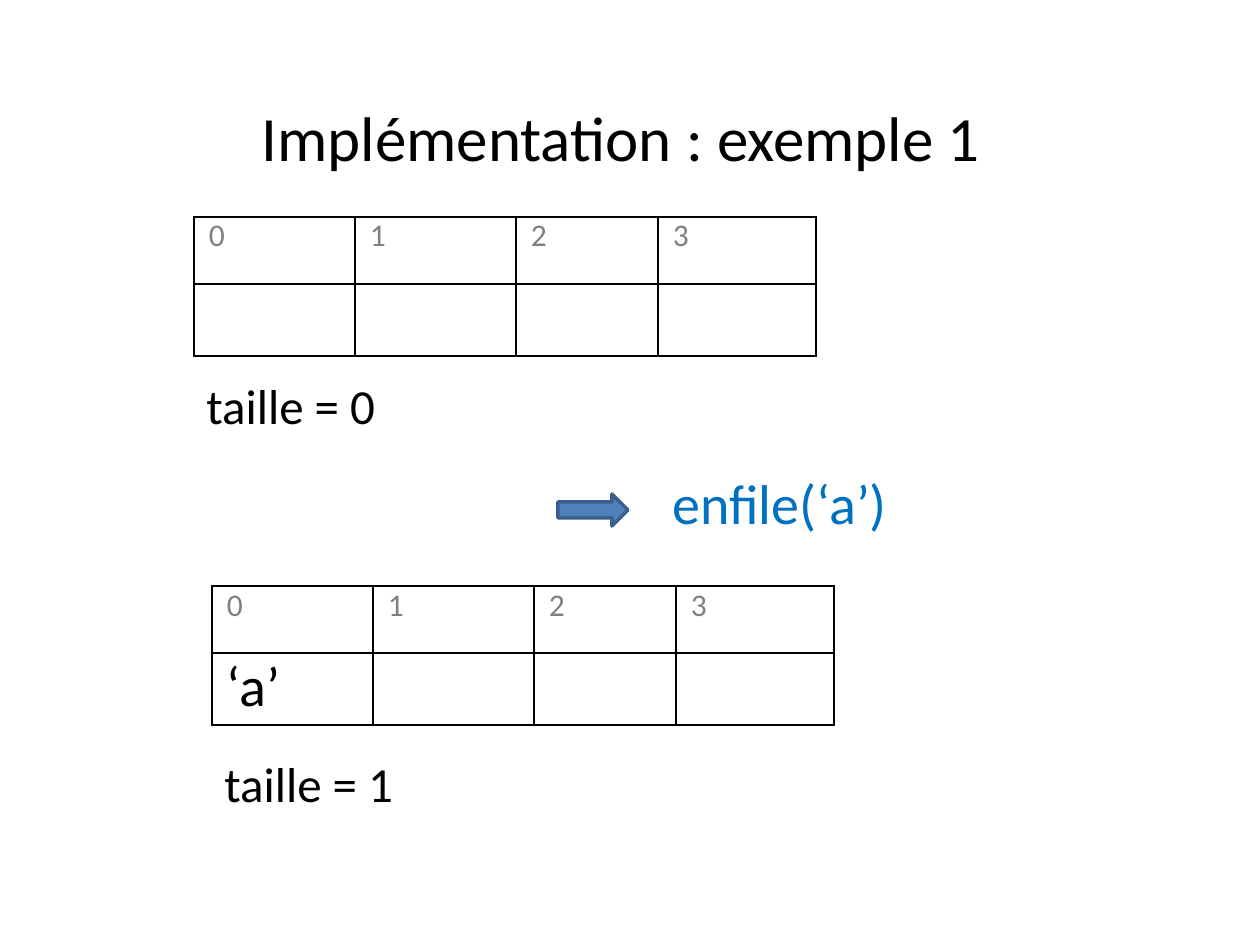
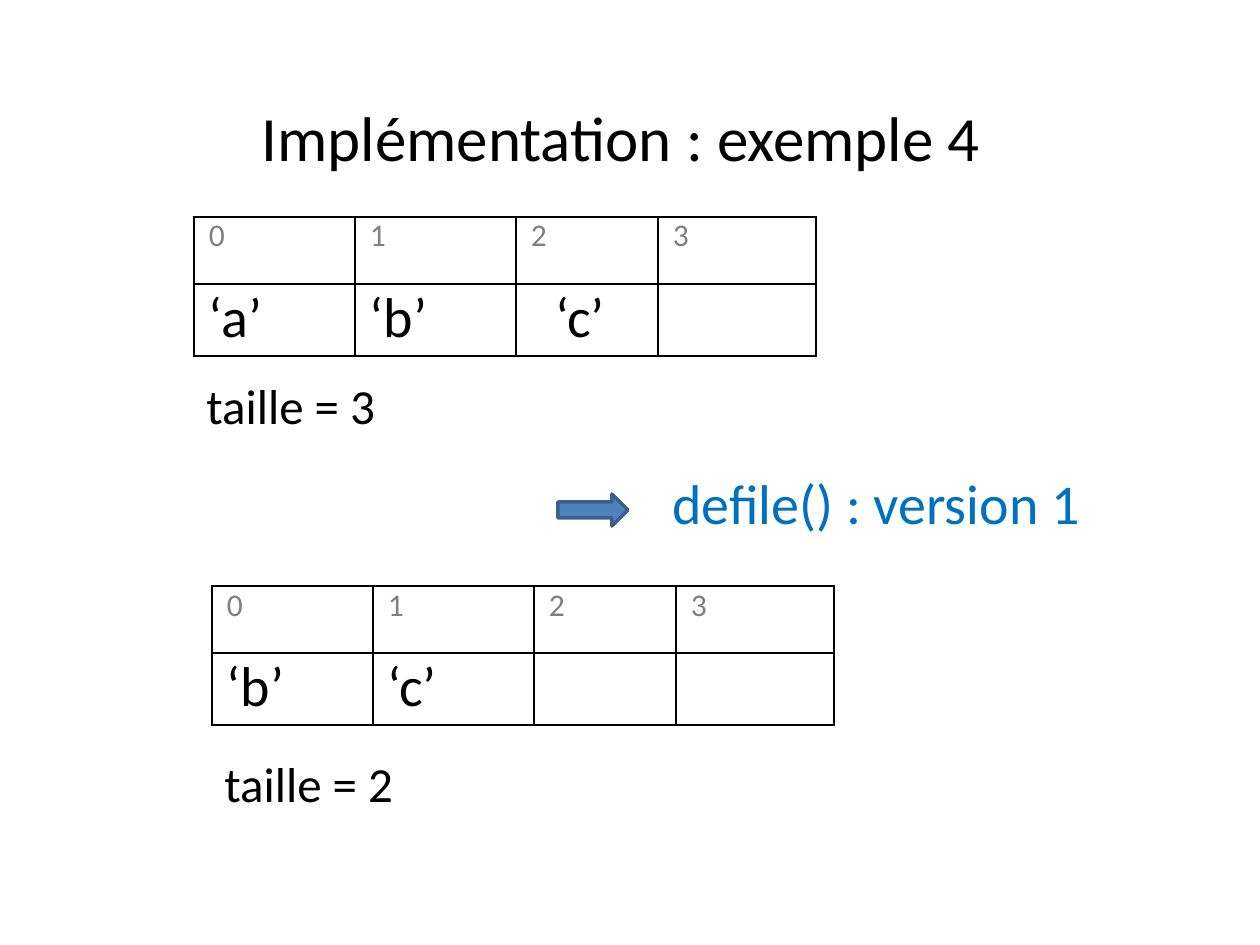
import pptx
import pptx.dml.color
import pptx.enum.shapes
import pptx.enum.text
import pptx.oxml
import pptx.oxml.ns
import pptx.util

PX = 914400 // 126
FONT = "Calibri"
COLOURS = {
    "text": "000000",
    "index": "808080",
    "operation": "0070C0",
    "arrow": "4F81BD",
    "arrow_edge": "3A5F8C",
    "border": "000000",
}
COLUMN_WIDTHS = [161, 161, 142, 158]
ROW_HEIGHTS = [67, 72]
CELL_MARGIN = 15
INDENTED_MARGIN = 40


def px(length):
    return pptx.util.Emu(length * PX)


def rgb(name):
    return pptx.dml.color.RGBColor.from_string(COLOURS[name])


def write(frame, text, size, colour="text", align=pptx.enum.text.PP_ALIGN.LEFT):
    para = frame.paragraphs[0]
    para.alignment = align
    span = para.add_run()
    span.text = text
    span.font.name = FONT
    span.font.size = pptx.util.Pt(size)
    span.font.color.rgb = rgb(colour)


def add_text(page, text, left, top, width, height,
             anchor=pptx.enum.text.MSO_ANCHOR.TOP, **style):
    box = page.shapes.add_textbox(px(left), px(top), px(width), px(height))
    box.text_frame.word_wrap = True
    box.text_frame.vertical_anchor = anchor
    write(box.text_frame, text, **style)


def add_title(page, text):
    add_text(page, text, 54, 57, 1134, 158, size=36,
             anchor=pptx.enum.text.MSO_ANCHOR.MIDDLE,
             align=pptx.enum.text.PP_ALIGN.CENTER)


def outline_cell(cell):
    """Draw a thin line on all four sides of a table cell."""
    properties = cell._tc.get_or_add_tcPr()
    for position, side in enumerate(["lnL", "lnR", "lnT", "lnB"]):
        line = pptx.oxml.parse_xml(
            f'<a:{side} {pptx.oxml.ns.nsdecls("a")} w="12700"><a:solidFill>'
            f'<a:srgbClr val="{COLOURS["border"]}"/></a:solidFill></a:{side}>')
        properties.insert(position, line)


def add_queue(page, left, top, label_top, items, indented=()):
    """Add the indexed array of a queue, with its size written below."""
    table = page.shapes.add_table(
        len(ROW_HEIGHTS), len(COLUMN_WIDTHS), px(left), px(top),
        px(sum(COLUMN_WIDTHS)), px(sum(ROW_HEIGHTS))).table
    table.first_row = False
    table.horz_banding = False
    for row, height in zip(table.rows, ROW_HEIGHTS):
        row.height = px(height)
    for index, width in enumerate(COLUMN_WIDTHS):
        table.columns[index].width = px(width)
        for row in range(len(ROW_HEIGHTS)):
            cell = table.cell(row, index)
            cell.fill.background()
            cell.margin_left = cell.margin_right = px(CELL_MARGIN)
            cell.margin_top = cell.margin_bottom = 0
            outline_cell(cell)
        write(table.cell(0, index).text_frame, str(index), 18, "index")
    for index, item in enumerate(items):
        cell = table.cell(1, index)
        if index in indented:
            cell.margin_left = px(INDENTED_MARGIN)
        write(cell.text_frame, f"‘{item}’", 32)
    add_text(page, f"taille = {len(items)}", left, label_top, 207, 72, size=28)


def add_operation(page, text, width):
    arrow = page.shapes.add_shape(
        pptx.enum.shapes.MSO_SHAPE.RIGHT_ARROW, px(558), px(494), px(70), px(32))
    arrow.shadow.inherit = False
    arrow.fill.solid()
    arrow.fill.fore_color.rgb = rgb("arrow")
    arrow.line.color.rgb = rgb("arrow_edge")
    arrow.line.width = pptx.util.Pt(2)
    add_text(page, text, 660, 462, width, 81, size=32, colour="operation")


def add_example(deck, number, before, operation, operation_width, after, indented=()):
    page = deck.slides.add_slide(deck.slide_layouts[6])
    add_title(page, f"Implémentation : exemple {number}")
    add_queue(page, 194, 217, 369, before, indented)
    add_operation(page, operation, operation_width)
    add_queue(page, 212, 586, 747, after)


def main():
    deck = pptx.Presentation()
    deck.slide_width = px(1260)
    deck.slide_height = px(945)
    add_example(deck, 1, "", "enfile(‘a’)", 248, "a")
    add_example(deck, 4, "abc", "defile() : version 1", 466, "bc", indented=[2])
    deck.save("out.pptx")


if __name__ == "__main__":
    main()
